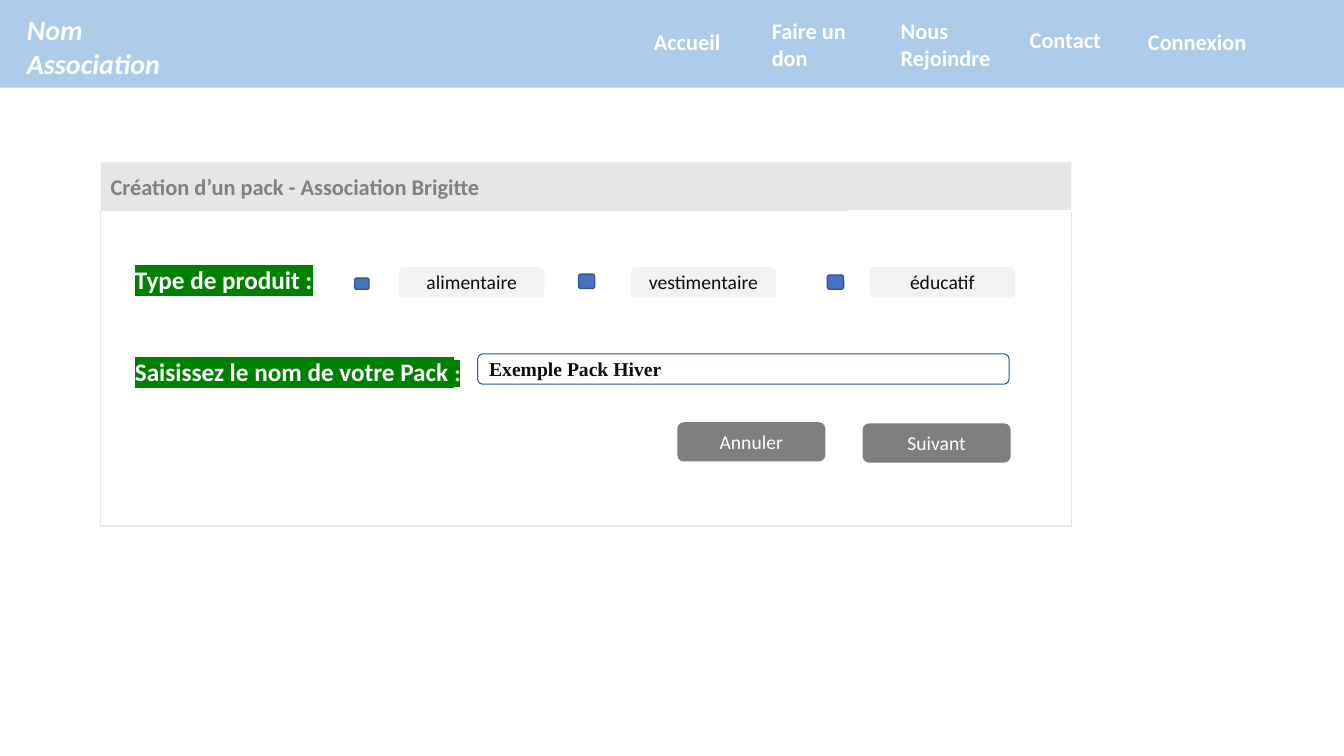
from lxml import etree
from pptx import Presentation
from pptx.dml.color import RGBColor
from pptx.enum import shapes, text
from pptx.oxml import ns
from pptx.util import Cm, Pt

WHITE = RGBColor(0xFF, 0xFF, 0xFF)
BLACK = RGBColor(0x00, 0x00, 0x00)
INK = RGBColor(0x0D, 0x0D, 0x0D)
SKY = RGBColor(0x5B, 0x9B, 0xD5)
BLUE = RGBColor(0x44, 0x72, 0xC4)
DARK_BLUE = RGBColor(0x32, 0x54, 0x91)
FIELD_BLUE = RGBColor(0x2F, 0x55, 0x97)
GREEN = RGBColor(0x00, 0x80, 0x00)
LIGHT_GREY = RGBColor(0xE7, 0xE6, 0xE6)
PALE_GREY = RGBColor(0xF2, 0xF2, 0xF2)
GREY = RGBColor(0x80, 0x80, 0x80)

RECT = shapes.MSO_SHAPE.RECTANGLE
ROUND = shapes.MSO_SHAPE.ROUNDED_RECTANGLE
PILL = shapes.MSO_SHAPE.FLOWCHART_ALTERNATE_PROCESS


def add_run(p, words, size=16, color=WHITE, bold=False, italic=False,
            font="Calibri", highlight=None):
    r = p.add_run()
    r.text = words
    f = r.font
    f.size, f.bold, f.italic, f.name = Pt(size), bold, italic, font
    f.color.rgb = color
    if highlight is not None:
        mark = etree.Element(ns.qn("a:highlight"))
        etree.SubElement(mark, ns.qn("a:srgbClr"), val=str(highlight))
        r._r.rPr.find(ns.qn("a:solidFill")).addnext(mark)


def add_box(slide, kind, x, y, w, h, fill=None, alpha=None, line=None, line_width=1):
    sp = slide.shapes.add_shape(kind, Cm(x), Cm(y), Cm(w), Cm(h))
    sp.shadow.inherit = False
    if fill is None:
        sp.fill.background()
    else:
        sp.fill.solid()
        sp.fill.fore_color.rgb = fill
    if alpha is not None:
        clr = sp._element.spPr.find(".//" + ns.qn("a:srgbClr"))
        etree.SubElement(clr, ns.qn("a:alpha"), val=str(alpha * 1000))
    if line is None:
        sp.line.fill.background()
    else:
        sp.line.color.rgb = line
        sp.line.width = Pt(line_width)
    return sp


def write_in(sp, words, align=text.PP_ALIGN.CENTER, **fmt):
    tf = sp.text_frame
    tf.word_wrap = True
    tf.vertical_anchor = text.MSO_ANCHOR.MIDDLE
    p = tf.paragraphs[0]
    p.alignment = align
    add_run(p, words, **fmt)


def add_textbox(slide, x, y, w, h):
    tf = slide.shapes.add_textbox(Cm(x), Cm(y), Cm(w), Cm(h)).text_frame
    tf.word_wrap = True
    return tf


def add_rule(slide, x, y, w, width):
    cn = slide.shapes.add_connector(shapes.MSO_CONNECTOR.STRAIGHT,
                                    Cm(x), Cm(y), Cm(x + w), Cm(y))
    cn.line.color.rgb = WHITE
    cn.line.width = Pt(width)
    etree.SubElement(cn._element.spPr, ns.qn("a:effectLst"))


def header(slide, x, y, w, h):
    add_box(slide, RECT, x, y, w, h, fill=SKY, alpha=50)

    # Navigation links
    for label, dx, dy, lw, lh in [
        ("Accueil", 16.23, 0.58, 2.44, 0.94),
        ("Faire un don", 19.2, 0.3, 2.44, 1.63),
        ("Nous Rejoindre", 22.45, 0.3, 2.97, 1.63),
        ("Contact", 25.7, 0.53, 2.44, 0.94),
        ("Connexion", 28.68, 0.58, 3.25, 0.94),
    ]:
        tf = add_textbox(slide, x + dx, y + dy, lw, lh)
        add_run(tf.paragraphs[0], label, bold=True)

    # Site name
    tf = add_textbox(slide, x + 0.43, y + 0.2, 3.91, 1.96)
    add_run(tf.paragraphs[0], "Nom Association", size=20, bold=True, italic=True)


def pack_form(slide, x, y, w, h):
    # Field labels
    tf = add_textbox(slide, x + 0.61, y + 2.44, 22.73, 5.38)
    label = dict(bold=True, highlight=GREEN)
    add_run(tf.paragraphs[0], "Type de produit :", size=18, **label)
    p = tf.add_paragraph()
    p.space_before = Pt(44)
    add_run(p, "Saisissez le nom de votre Pack ", size=18, **label)
    add_run(p, ":", size=16, **label)

    # Title bar and frame
    bar_h = 1.22
    sp = add_box(slide, RECT, x, y, w, bar_h, fill=LIGHT_GREY)
    write_in(sp, "Création d’un pack - Association Brigitte",
             align=text.PP_ALIGN.LEFT, color=GREY, bold=True)
    add_box(slide, RECT, x, y + bar_h, w, h - bar_h, line=LIGHT_GREY)
    add_rule(slide, x + 18.82, y + bar_h, 6.28, 1.5)
    add_rule(slide, x + 18.82, y + 3.15, 6.28, 0.75)

    # Product types with their check boxes
    for name, dx, check_x, check_y, check_w, check_h in [
        ("alimentaire", 7.52, 6.4, 2.92, 0.36, 0.28),
        ("vestimentaire", 13.36, 12.04, 2.82, 0.41, 0.36),
        ("éducatif", 19.38, 18.31, 2.84, 0.41, 0.36),
    ]:
        add_box(slide, ROUND, x + check_x, y + check_y, check_w, check_h,
                fill=BLUE, line=DARK_BLUE)
        sp = add_box(slide, PILL, x + dx, y + 2.64, 3.66, 0.76, fill=PALE_GREY)
        write_in(sp, name, size=14, color=INK)

    # Pack name field
    sp = add_box(slide, PILL, x + 9.5, y + 4.83, 13.39, 0.76,
                 fill=WHITE, line=FIELD_BLUE, line_width=0.75)
    write_in(sp, "Exemple Pack Hiver", align=text.PP_ALIGN.LEFT, size=14,
             color=INK, bold=True, font="Times New Roman")

    # Buttons
    for name, dx, dy in [("Annuler", 14.53, 6.55), ("Suivant", 19.2, 6.58)]:
        sp = add_box(slide, PILL, x + dx, y + dy, 3.73, 0.99, fill=BLACK, alpha=50)
        write_in(sp, name, size=14)


def main():
    prs = Presentation()
    prs.slide_width, prs.slide_height = Cm(33.87), Cm(19.05)
    slide = prs.slides.add_slide(prs.slide_layouts[6])
    header(slide, 0, 0, 33.87, 2.21)
    pack_form(slide, 2.54, 4.09, 24.46, 9.17)
    prs.save("out.pptx")


if __name__ == "__main__":
    main()
